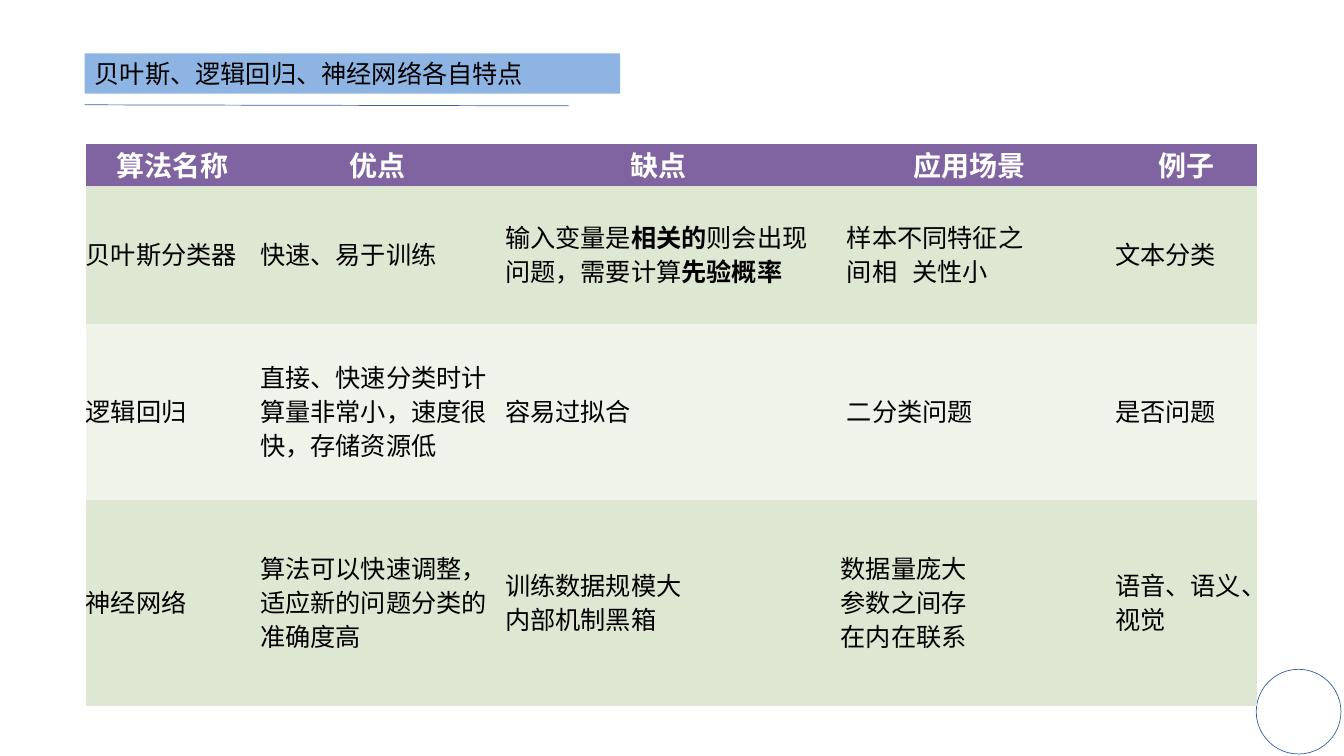
from lxml.etree import SubElement
from pptx import Presentation
from pptx.dml.color import RGBColor
from pptx.enum.shapes import MSO_CONNECTOR as CONNECTOR, MSO_SHAPE as SHAPE
from pptx.enum.text import MSO_ANCHOR as ANCHOR, PP_ALIGN as ALIGN
from pptx.oxml.ns import qn
from pptx.util import Inches, Pt

WIDTH, HEIGHT = 13.33, 7.5
LEFT = 0.84
FONT = "Noto Sans Mono"
BLACK = RGBColor(0x00, 0x00, 0x00)
WHITE = RGBColor(0xFF, 0xFF, 0xFF)
LINE_BLUE = RGBColor(0x35, 0x63, 0xA8)
TITLE_BLUE = RGBColor(0x8E, 0xB4, 0xE3)
HEADER_PURPLE = RGBColor(0x80, 0x64, 0xA2)
ROW_BANDS = (RGBColor(0xDE, 0xE7, 0xD1), RGBColor(0xEF, 0xF3, 0xEA))

TITLE = "贝叶斯、逻辑回归、神经网络各自特点"
COLUMN_WIDTHS = (1.73, 2.32, 3.27, 2.89, 1.41)
COLUMN_INSETS = (0, 0, 0.11, 0.23, 0)
ROW_HEIGHTS = (0.42, 1.36, 1.75, 2.04)
# Text between double asterisks is bold.
ROWS = (
    ("算法名称", "优点", "缺点", "应用场景", "例子"),
    ("贝叶斯分类器", "快速、易于训练",
     "输入变量是**相关的**则会出现\n问题，需要计算**先验概率**",
     "样本不同特征之\n间相 关性小", "文本分类"),
    ("逻辑回归", "直接、快速分类时计算量非常小，速度很快，存储资源低",
     "容易过拟合", "二分类问题", "是否问题"),
    ("神经网络", "算法可以快速调整，适应新的问题分类的准确度高",
     "训练数据规模大\n内部机制黑箱", "数据量庞大\n参数之间存\n在内在联系",
     "语音、语义、视觉"),
)


def write_text(frame, text, size=18, color=BLACK, bold=False, align=ALIGN.LEFT):
    frame.word_wrap = True
    for index, line in enumerate(text.split("\n")):
        paragraph = frame.add_paragraph() if index else frame.paragraphs[0]
        paragraph.alignment = align
        for part, words in enumerate(line.split("**")):
            if not words:
                continue
            run = paragraph.add_run()
            run.text = words
            run.font.name = FONT
            run.font.size = Pt(size)
            run.font.bold = bold or part % 2 == 1
            run.font.color.rgb = color
            SubElement(run.font._element, qn("a:ea"), typeface=FONT)


def add_shape(slide, kind, left, top, width, height, fill=None, line=None):
    shape = slide.shapes.add_shape(
        kind, Inches(left), Inches(top), Inches(width), Inches(height))
    shape.shadow.inherit = False
    if fill is None:
        shape.fill.background()
    else:
        shape.fill.solid()
        shape.fill.fore_color.rgb = fill
    if line is None:
        shape.line.fill.background()
    else:
        shape.line.color.rgb = line
        shape.line.width = Pt(0.5)
    return shape


def add_title(slide):
    banner = add_shape(slide, SHAPE.RECTANGLE, LEFT, 0.53, 5.31, 0.4, fill=TITLE_BLUE)
    banner.text_frame.vertical_anchor = ANCHOR.MIDDLE
    write_text(banner.text_frame, TITLE)
    rule = slide.shapes.add_connector(
        CONNECTOR.STRAIGHT, Inches(LEFT), Inches(1.04), Inches(5.64), Inches(1.05))
    rule.line.color.rgb = LINE_BLUE
    rule.line.width = Pt(0.5)
    SubElement(rule._element.spPr, qn("a:effectLst"))


def fill_cell(cell, text, fill, inset=0, **text_format):
    cell.margin_left = Inches(inset)
    cell.margin_right = cell.margin_top = cell.margin_bottom = 0
    cell.vertical_anchor = ANCHOR.MIDDLE
    cell.fill.solid()
    cell.fill.fore_color.rgb = fill
    write_text(cell.text_frame, text, **text_format)


def add_comparison_table(slide):
    table = slide.shapes.add_table(
        len(ROWS), len(COLUMN_WIDTHS), Inches(0.85), Inches(1.43),
        Inches(sum(COLUMN_WIDTHS)), Inches(sum(ROW_HEIGHTS))).table
    # The "No Style, No Grid" table style leaves the cells without borders.
    table._tbl.tblPr.find(qn("a:tableStyleId")).text = (
        "{2D5ABB26-0587-4C30-8999-92F81FD0307C}")
    for column, width in zip(table.columns, COLUMN_WIDTHS):
        column.width = Inches(width)
    for row, height in zip(table.rows, ROW_HEIGHTS):
        row.height = Inches(height)
    for column, text in enumerate(ROWS[0]):
        fill_cell(table.cell(0, column), text, HEADER_PURPLE,
                  size=20, color=WHITE, bold=True, align=ALIGN.CENTER)
    for row, texts in enumerate(ROWS[1:], start=1):
        for column, text in enumerate(texts):
            fill_cell(table.cell(row, column), text, ROW_BANDS[(row - 1) % 2],
                      inset=COLUMN_INSETS[column])
    table.cell(3, 3).margin_left = Inches(0.17)


def main():
    presentation = Presentation()
    presentation.slide_width = Inches(WIDTH)
    presentation.slide_height = Inches(HEIGHT)
    slide = presentation.slides.add_slide(presentation.slide_layouts[6])
    add_shape(slide, SHAPE.OVAL, 12.46, 6.64, 0.84, 0.84, line=LINE_BLUE)
    add_title(slide)
    add_comparison_table(slide)
    presentation.save("out.pptx")


if __name__ == "__main__":
    main()
